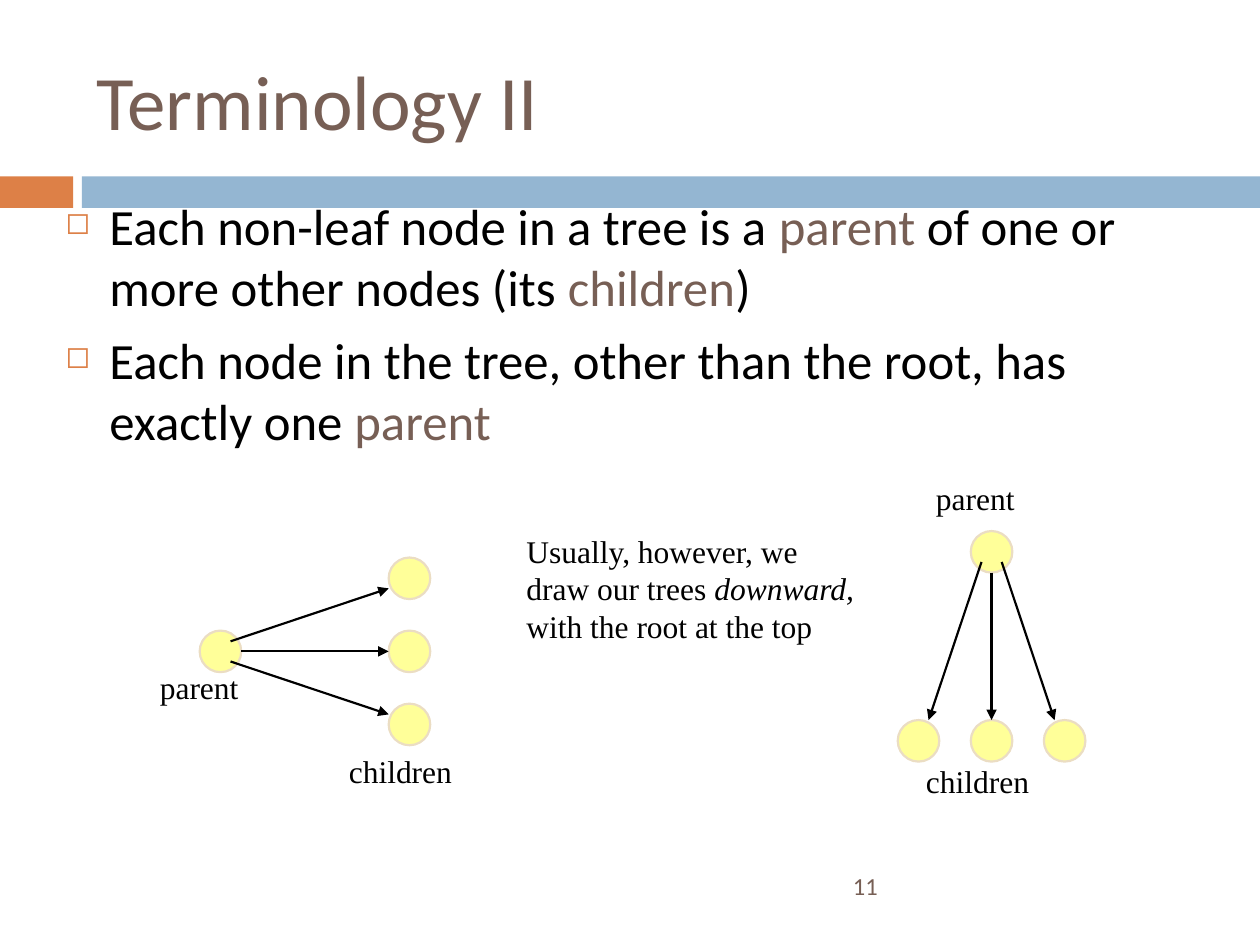
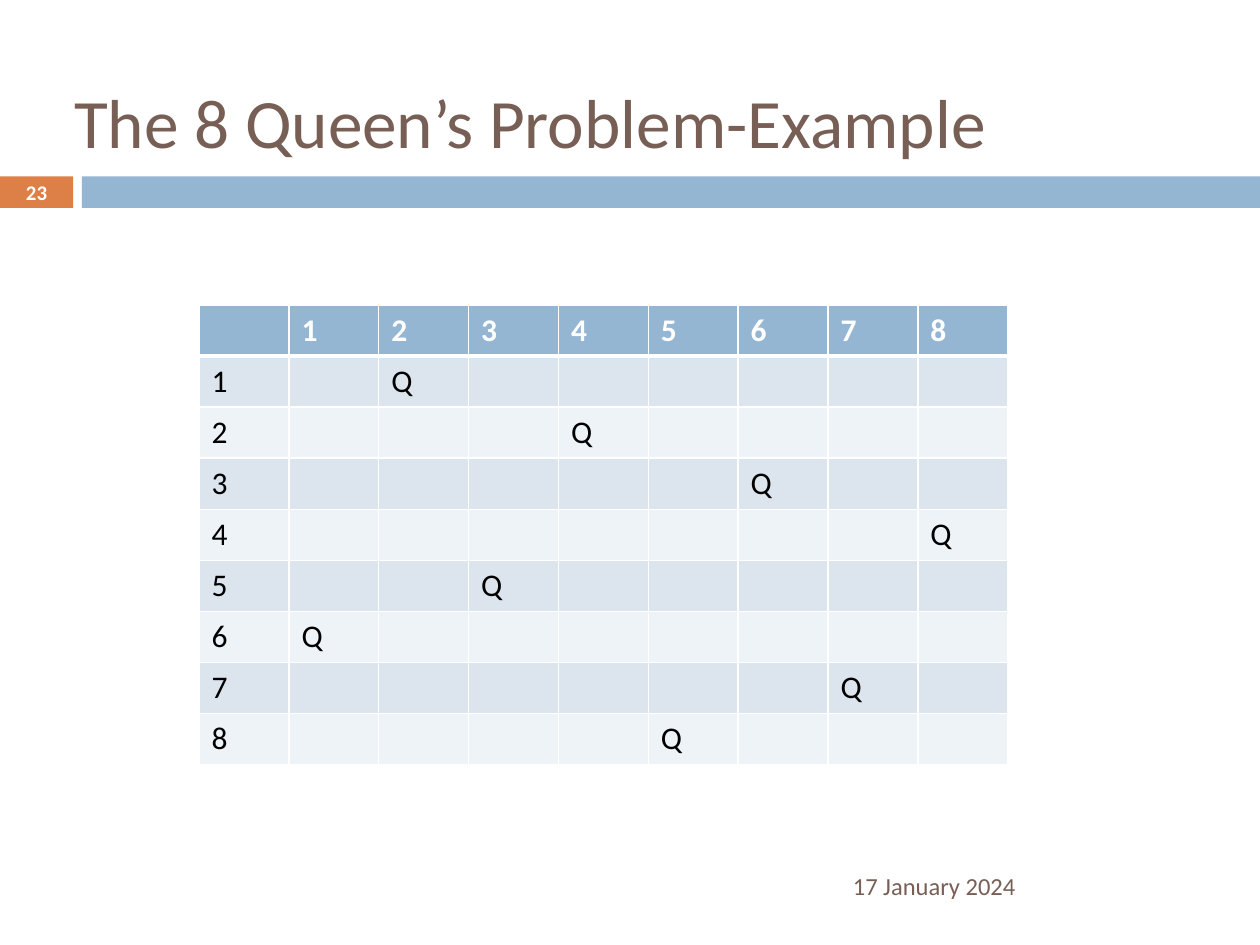
"""Build two lecture slides: tree terminology and the eight queens example."""
from dataclasses import dataclass
from typing import Any, Optional

from lxml import etree
from pptx import Presentation
from pptx.dml.color import RGBColor
from pptx.enum import shapes, text
from pptx.oxml.ns import qn
from pptx.util import Inches, Pt


@dataclass(frozen=True)
class Theme:
    brown: str = "775F55"
    orange: str = "DD8047"
    blue: str = "94B6D2"
    black: str = "000000"
    white: str = "FFFFFF"
    node: str = "FFFF99"
    node_line: str = "EBDDC3"
    odd_row: str = "DCE5EE"
    even_row: str = "EEF3F7"
    sans: str = "Calibri"
    serif: str = "Times New Roman"
    title: float = 44
    long_title: float = 39.6
    body: float = 29
    label: float = 18
    footer: float = 14
    badge: float = 11.9
    stroke: float = 1.25


THEME = Theme()


@dataclass(frozen=True)
class Box:
    left: float
    top: float
    width: float
    height: float

    def lengths(self) -> list[Inches]:
        return [Inches(n) for n in (self.left, self.top, self.width, self.height)]


@dataclass(frozen=True)
class Style:
    size: float
    color: str = THEME.black
    font: str = THEME.sans
    bold: bool = False


@dataclass(frozen=True)
class Span:
    words: str
    color: Optional[str] = None
    italic: bool = False


@dataclass(frozen=True)
class Label:
    words: str
    box: Box


@dataclass(frozen=True)
class Tree:
    x: float
    y: float
    downward: bool
    labels: tuple[Label, ...]

    def point(self, along: float, across: float) -> tuple[float, float]:
        if self.downward:
            return self.x + across, self.y + along
        return self.x + along, self.y + across


ORANGE_BAND = Box(0, 1.4, 0.58, 0.25)
BLUE_BAND = Box(0.65, 1.4, 9.35, 0.25)
FOOTER_BOX = Box(6.67, 6.83, 2.92, 0.4)
FOOTER = Style(THEME.footer, THEME.brown)
LABEL = Style(THEME.label, font=THEME.serif)

NODE_RADIUS = 0.165
CHILD_DEPTH = 1.5
CHILD_SPREAD = 0.58
ARROW_OFFSET = 0.08

DEFINITIONS = (
    (
        Span("Each non-leaf node in a tree is a "),
        Span("parent", THEME.brown),
        Span(" of one or more other nodes (its "),
        Span("children", THEME.brown),
        Span(")"),
    ),
    (
        Span("Each node in the tree, other than the root, has exactly one "),
        Span("parent", THEME.brown),
    ),
)
TREES = (
    Tree(1.75, 5.17, False, (
        Label("parent", Box(1.17, 5.25, 1.25, 0.5)),
        Label("children", Box(2.67, 5.92, 1.42, 0.5)),
    )),
    Tree(7.87, 4.38, True, (
        Label("parent", Box(7.33, 3.75, 1.25, 0.5)),
        Label("children", Box(7.25, 6, 1.42, 0.5)),
    )),
)
DOWNWARD_NOTE = (
    Span("Usually, however, we draw our trees "),
    Span("downward,", italic=True),
    Span(" with the root at the top"),
)
QUEEN_COLUMNS = (2, 4, 6, 8, 3, 1, 7, 5)


def rgb(color: str) -> RGBColor:
    return RGBColor.from_string(color)


def add_spans(para: Any, spans: tuple[Span, ...], style: Style) -> None:
    for span in spans:
        run = para.add_run()
        run.text = span.words
        run.font.name = style.font
        run.font.size = Pt(style.size)
        run.font.bold = style.bold
        run.font.italic = span.italic
        run.font.color.rgb = rgb(span.color or style.color)


def add_text(holder: Any, box: Box, spans: tuple[Span, ...], style: Style,
             middle: bool = False, centred: bool = False) -> Any:
    frame = holder.shapes.add_textbox(*box.lengths()).text_frame
    frame.word_wrap = True
    frame.vertical_anchor = text.MSO_ANCHOR.MIDDLE if middle else text.MSO_ANCHOR.TOP
    para = frame.paragraphs[0]
    para.alignment = text.PP_ALIGN.CENTER if centred else text.PP_ALIGN.LEFT
    add_spans(para, spans, style)
    return frame


def add_filled(holder: Any, kind: Any, box: Box, fill: str, line: Optional[str] = None) -> None:
    shape = holder.shapes.add_shape(kind, *box.lengths())
    shape.shadow.inherit = False
    shape.fill.solid()
    shape.fill.fore_color.rgb = rgb(fill)
    if line:
        shape.line.color.rgb = rgb(line)
        shape.line.width = Pt(THEME.stroke)
    else:
        shape.line.fill.background()


def add_arrow(holder: Any, start: tuple[float, float], end: tuple[float, float]) -> None:
    arrow = holder.shapes.add_connector(
        shapes.MSO_CONNECTOR.STRAIGHT, *(Inches(n) for n in start + end))
    arrow.line.color.rgb = rgb(THEME.black)
    arrow.line.width = Pt(THEME.stroke)
    etree.SubElement(arrow.line._get_or_add_ln(), qn("a:tailEnd"), type="triangle", w="med", len="med")
    etree.SubElement(arrow._element.spPr, qn("a:effectLst"))


def add_page(deck: Any, title: str, title_box: Box, title_size: float, footer: str) -> Any:
    page = deck.slides.add_slide(deck.slide_layouts[6])
    for box, color in ((ORANGE_BAND, THEME.orange), (BLUE_BAND, THEME.blue)):
        add_filled(page, shapes.MSO_SHAPE.RECTANGLE, box, color)
    add_text(page, title_box, (Span(title),), Style(title_size, THEME.brown), middle=True)
    add_text(page, FOOTER_BOX, (Span(footer),), FOOTER, middle=True)
    return page


def add_bullet(para: Any) -> None:
    properties = para._p.get_or_add_pPr()
    properties.set("marL", str(Inches(0.35)))
    properties.set("indent", str(-Inches(0.35)))
    color = etree.SubElement(properties, qn("a:buClr"))
    etree.SubElement(color, qn("a:srgbClr"), val=THEME.orange)
    etree.SubElement(properties, qn("a:buSzPct"), val="60000")
    etree.SubElement(properties, qn("a:buChar"), char="◻")


def add_definitions(page: Any) -> None:
    style = Style(THEME.body)
    frame = add_text(page, Box(0.42, 1.5, 9.38, 2.43), DEFINITIONS[0], style)
    for spans in DEFINITIONS[1:]:
        add_spans(frame.add_paragraph(), spans, style)
    for index, para in enumerate(frame.paragraphs):
        add_bullet(para)
        if index:
            para.space_before = Pt(7)


def add_node(holder: Any, centre: tuple[float, float]) -> None:
    x, y = centre
    box = Box(x - NODE_RADIUS, y - NODE_RADIUS, 2 * NODE_RADIUS, 2 * NODE_RADIUS)
    add_filled(holder, shapes.MSO_SHAPE.OVAL, box, THEME.node, THEME.node_line)


def add_tree(page: Any, tree: Tree) -> None:
    group = page.shapes.add_group_shape()
    sides = (-1, 0, 1)
    add_node(group, tree.point(0, 0))
    for side in sides:
        add_node(group, tree.point(CHILD_DEPTH, side * CHILD_SPREAD))
    for side in sides:
        start = tree.point(ARROW_OFFSET if side else NODE_RADIUS, side * ARROW_OFFSET)
        end = tree.point(CHILD_DEPTH - NODE_RADIUS, side * (CHILD_SPREAD - ARROW_OFFSET))
        add_arrow(group, start, end)
    for label in tree.labels:
        add_text(group, label.box, (Span(label.words),), LABEL)


def add_borders(cell: Any, top: float, bottom: float) -> None:
    properties = cell._tc.get_or_add_tcPr()
    widths = {"lnL": 1, "lnR": 1, "lnT": top, "lnB": bottom}
    for index, (edge, width) in enumerate(widths.items()):
        line = etree.Element(qn(f"a:{edge}"), w=str(Pt(width)))
        fill = etree.SubElement(line, qn("a:solidFill"))
        etree.SubElement(fill, qn("a:srgbClr"), val=THEME.white)
        properties.insert(index, line)


def board_entry(row: int, column: int) -> str:
    if row == 0 or column == 0:
        return str(row + column or "")
    return "Q" if QUEEN_COLUMNS[row - 1] == column else ""


def add_board(page: Any) -> None:
    count = len(QUEEN_COLUMNS) + 1
    box = Box(1.58, 2.42, 6.42, 3.65)
    table = page.shapes.add_table(count, count, *box.lengths()).table
    table.horz_banding = False
    for row in range(count):
        header = row == 0
        fill = THEME.blue if header else THEME.odd_row if row % 2 else THEME.even_row
        style = Style(THEME.label, THEME.white if header else THEME.black, bold=header)
        for column in range(count):
            cell = table.cell(row, column)
            cell.fill.solid()
            cell.fill.fore_color.rgb = rgb(fill)
            add_borders(cell, top=3 if row == 1 else 1, bottom=3 if header else 1)
            entry = board_entry(row, column)
            if entry:
                add_spans(cell.text_frame.paragraphs[0], (Span(entry),), style)


def build_terminology(deck: Any) -> None:
    page = add_page(deck, "Terminology II", Box(0.67, 0.25, 8.92, 1.08), THEME.title, "11")
    add_definitions(page)
    for tree in TREES:
        add_tree(page, tree)
    add_text(page, Box(4.08, 4.17, 2.83, 1.7), DOWNWARD_NOTE, LABEL)


def build_queens(deck: Any) -> None:
    page = add_page(deck, "The 8 Queen’s Problem-Example", Box(0.49, 0.58, 9.51, 0.75),
                    THEME.long_title, "17 January 2024")
    badge = Style(THEME.badge, THEME.white, bold=True)
    add_text(page, ORANGE_BAND, (Span("23"),), badge, middle=True, centred=True)
    add_board(page)


def main() -> None:
    deck = Presentation()
    deck.slide_width, deck.slide_height = Inches(10), Inches(7.5)
    build_terminology(deck)
    build_queens(deck)
    deck.save("out.pptx")


if __name__ == "__main__":
    main()
